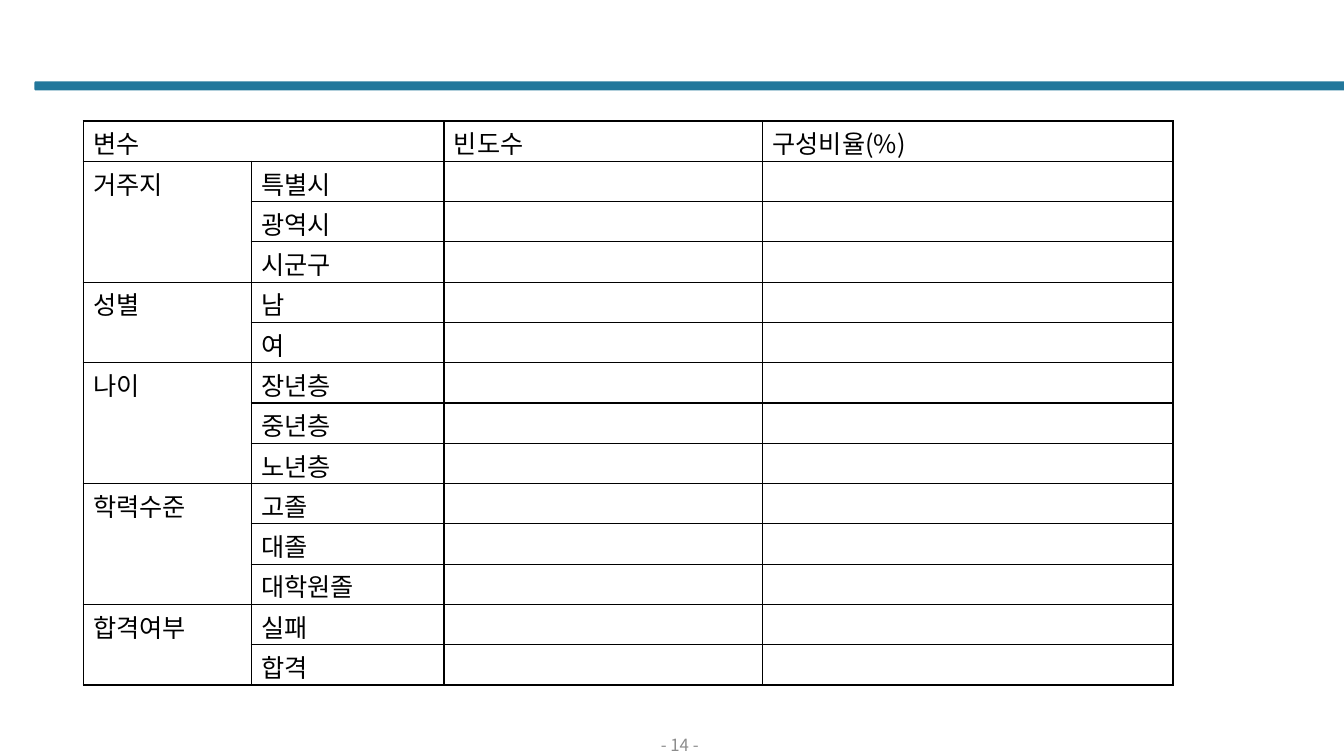
"""Build the slide with the frequency table of survey variables."""
import pptx
import pptx.dml.color
import pptx.enum.shapes
import pptx.enum.text
import pptx.oxml
import pptx.oxml.ns
import pptx.util
from pptx.util import Cm, Pt

RGBColor = pptx.dml.color.RGBColor
TEAL = RGBColor(0x22, 0x77, 0x9B)
BLACK = RGBColor(0, 0, 0)
GRAY = RGBColor(0x8C, 0x8C, 0x8C)
FONT = "Noto Sans CJK KR"

HEADINGS = ["변수", "", "빈도수", "구성비율(%)"]
VARIABLES = {
    "거주지": ["특별시", "광역시", "시군구"],
    "성별": ["남", "여"],
    "나이": ["장년층", "중년층", "노년층"],
    "학력수준": ["고졸", "대졸", "대학원졸"],
    "합격여부": ["실패", "합격"],
}
COLUMN_WIDTHS = [4.23, 4.86, 8.03, 10.34]
TABLE_HEIGHT = 14.22


def format_paragraph(paragraph, size, color):
    font = paragraph.font
    font.name = FONT
    font.size = Pt(size)
    font.bold = False
    font.color.rgb = color
    east_asian = pptx.oxml.parse_xml(
        f'<a:ea {pptx.oxml.ns.nsdecls("a")} typeface="{FONT}"/>')
    paragraph.font._element.find(pptx.oxml.ns.qn("a:latin")).addnext(east_asian)


def format_cell(cell):
    cell.fill.background()
    cell.margin_left = cell.margin_right = Cm(0.25)
    cell.margin_top, cell.margin_bottom = Cm(0.09), Cm(0)
    format_paragraph(cell.text_frame.paragraphs[0], 18, BLACK)
    properties = cell._tc.get_or_add_tcPr()
    for position, side in enumerate("LRTB"):
        border = pptx.oxml.parse_xml(
            f'<a:ln{side} {pptx.oxml.ns.nsdecls("a")} w="{Pt(1)}"><a:solidFill>'
            f'<a:srgbClr val="{BLACK}"/></a:solidFill></a:ln{side}>')
        properties.insert(position, border)


def add_header_bar(slide):
    bar = slide.shapes.add_shape(
        pptx.enum.shapes.MSO_SHAPE.ROUNDED_RECTANGLE,
        Cm(0.87), Cm(2.05), Cm(33.06), Cm(0.23))
    bar.adjustments[0] = 0.13
    bar.shadow.inherit = False
    bar.fill.solid()
    bar.fill.fore_color.rgb = TEAL
    bar.line.fill.background()


def add_frequency_table(slide):
    row_count = 1 + sum(len(levels) for levels in VARIABLES.values())
    table = slide.shapes.add_table(
        row_count, len(HEADINGS), Cm(2.1), Cm(3.05),
        Cm(sum(COLUMN_WIDTHS)), Cm(TABLE_HEIGHT)).table
    table.first_row = table.horz_banding = False
    for column, width in zip(table.columns, COLUMN_WIDTHS):
        column.width = Cm(width)

    for index, heading in enumerate(HEADINGS):
        table.cell(0, index).text = heading
    first_row = 1
    for variable, levels in VARIABLES.items():
        table.cell(first_row, 0).text = variable
        for offset, level in enumerate(levels):
            table.cell(first_row + offset, 1).text = level
        last_row = first_row + len(levels) - 1
        table.cell(first_row, 0).merge(table.cell(last_row, 0))
        first_row = last_row + 1
    table.cell(0, 0).merge(table.cell(0, 1))

    for cell in table.iter_cells():
        format_cell(cell)


def add_page_number(slide, label):
    frame = slide.shapes.add_textbox(
        Cm(13.18), Cm(18.47), Cm(7.9), Cm(0.58)).text_frame
    frame.word_wrap = True
    frame.margin_top = frame.margin_bottom = Cm(0)
    frame.vertical_anchor = pptx.enum.text.MSO_ANCHOR.MIDDLE
    paragraph = frame.paragraphs[0]
    paragraph.text = label
    paragraph.alignment = pptx.enum.text.PP_ALIGN.CENTER
    format_paragraph(paragraph, 12, GRAY)


def main():
    presentation = pptx.Presentation()
    presentation.slide_width = Cm(33.87)
    presentation.slide_height = Cm(19.05)
    slide = presentation.slides.add_slide(presentation.slide_layouts[6])
    add_header_bar(slide)
    add_page_number(slide, "- 14 -")
    add_frequency_table(slide)
    presentation.save("out.pptx")


main()
